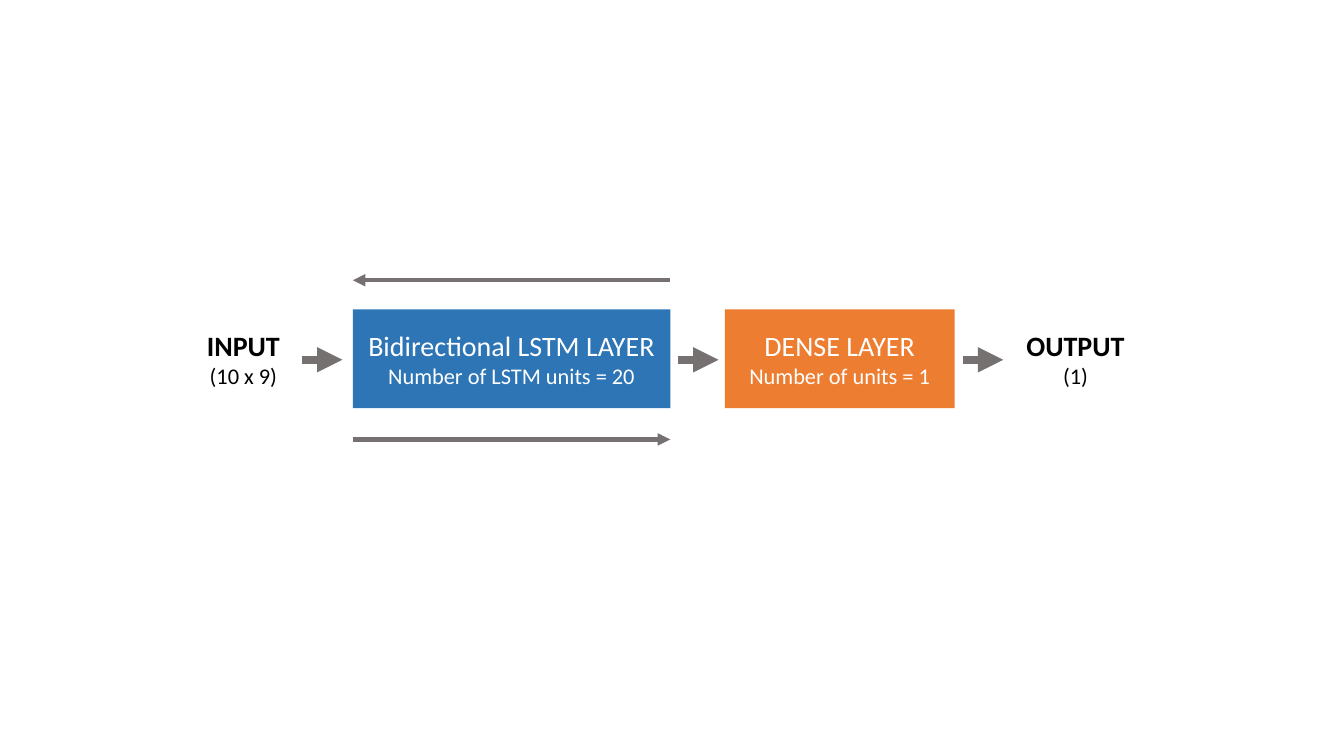
from lxml.etree import SubElement
from pptx import Presentation
from pptx.dml.color import RGBColor
from pptx.enum.shapes import MSO_CONNECTOR, MSO_SHAPE
from pptx.enum.text import MSO_ANCHOR, MSO_AUTO_SIZE, PP_ALIGN
from pptx.oxml.ns import qn
from pptx.util import Pt

BLUE, ORANGE, GRAY = "2E75B6", "ED7D31", "767171"
WHITE, BLACK = "FFFFFF", "000000"
LAYER_TOP, LAYER_HEIGHT = 221, 70.6
LABEL_TOP, LABEL_HEIGHT = 231.1, 51.1
LSTM_LEFT, LSTM_WIDTH = 252, 226.8
LSTM_RIGHT = LSTM_LEFT + LSTM_WIDTH
FLOW_Y, FLOW_LENGTH = 257, 28.6
BACKWARD_Y, FORWARD_Y = 200.2, 313.9


def color(value):
    """Return the colour for a hex string."""
    return RGBColor.from_string(value)


def set_format(target, values):
    """Set every attribute named in a dict of format values."""
    for name, value in values.items():
        setattr(target, name, value)


def write_lines(frame, title, detail, text_color, bold):
    """Write a centred title with a smaller detail line below it."""
    lines = [(title, 20, bold), (detail, 16, False)]
    for index, (text, size, is_bold) in enumerate(lines):
        paragraph = frame.add_paragraph() if index else frame.paragraphs[0]
        paragraph.alignment = PP_ALIGN.CENTER
        run = paragraph.add_run()
        run.text = text
        set_format(run.font, {"name": "Calibri", "size": Pt(size), "bold": is_bold})
        run.font.color.rgb = color(text_color)


def add_layer(slide, left, width, fill, title, detail):
    """Add a filled box for a network layer."""
    shape = slide.shapes.add_shape(
        MSO_SHAPE.RECTANGLE, Pt(left), Pt(LAYER_TOP), Pt(width), Pt(LAYER_HEIGHT))
    shape.shadow.inherit = False
    shape.fill.solid()
    shape.fill.fore_color.rgb = color(fill)
    shape.line.fill.background()
    set_format(shape.text_frame,
               {"word_wrap": True, "vertical_anchor": MSO_ANCHOR.MIDDLE})
    write_lines(shape.text_frame, title, detail, WHITE, False)


def add_label(slide, left, width, title, detail):
    """Add a plain label for an end of the network."""
    shape = slide.shapes.add_textbox(
        Pt(left), Pt(LABEL_TOP), Pt(width), Pt(LABEL_HEIGHT))
    set_format(shape.text_frame,
               {"word_wrap": True, "auto_size": MSO_AUTO_SIZE.SHAPE_TO_FIT_TEXT})
    write_lines(shape.text_frame, title, detail, BLACK, True)


def add_arrow(slide, start, end, y, width):
    """Add a horizontal arrow that points from start to end."""
    connector = slide.shapes.add_connector(
        MSO_CONNECTOR.STRAIGHT, Pt(start), Pt(y), Pt(end), Pt(y))
    connector.line.width = Pt(width)
    connector.line.color.rgb = color(GRAY)
    properties = connector._element.spPr
    SubElement(properties.find(qn("a:ln")), qn("a:tailEnd"), type="triangle")
    SubElement(properties, qn("a:effectLst"))


def main():
    """Build the network diagram and save it."""
    presentation = Presentation()
    set_format(presentation, {"slide_width": Pt(960), "slide_height": Pt(540)})
    slide = presentation.slides.add_slide(presentation.slide_layouts[6])

    add_layer(slide, LSTM_LEFT, LSTM_WIDTH, BLUE,
              "Bidirectional LSTM LAYER", "Number of LSTM units = 20")
    add_layer(slide, 517.7, 164.2, ORANGE, "DENSE LAYER", "Number of units = 1")
    add_label(slide, 131, 85.7, "INPUT", "(10 x 9)")
    add_label(slide, 716.4, 103.7, "OUTPUT", "(1)")

    add_arrow(slide, LSTM_LEFT, LSTM_RIGHT, FORWARD_Y, 3)
    add_arrow(slide, LSTM_RIGHT, LSTM_LEFT, BACKWARD_Y, 3)
    for start in (216, 484.6, 688):
        add_arrow(slide, start, start + FLOW_LENGTH, FLOW_Y, 6)

    presentation.save("out.pptx")


if __name__ == "__main__":
    main()
